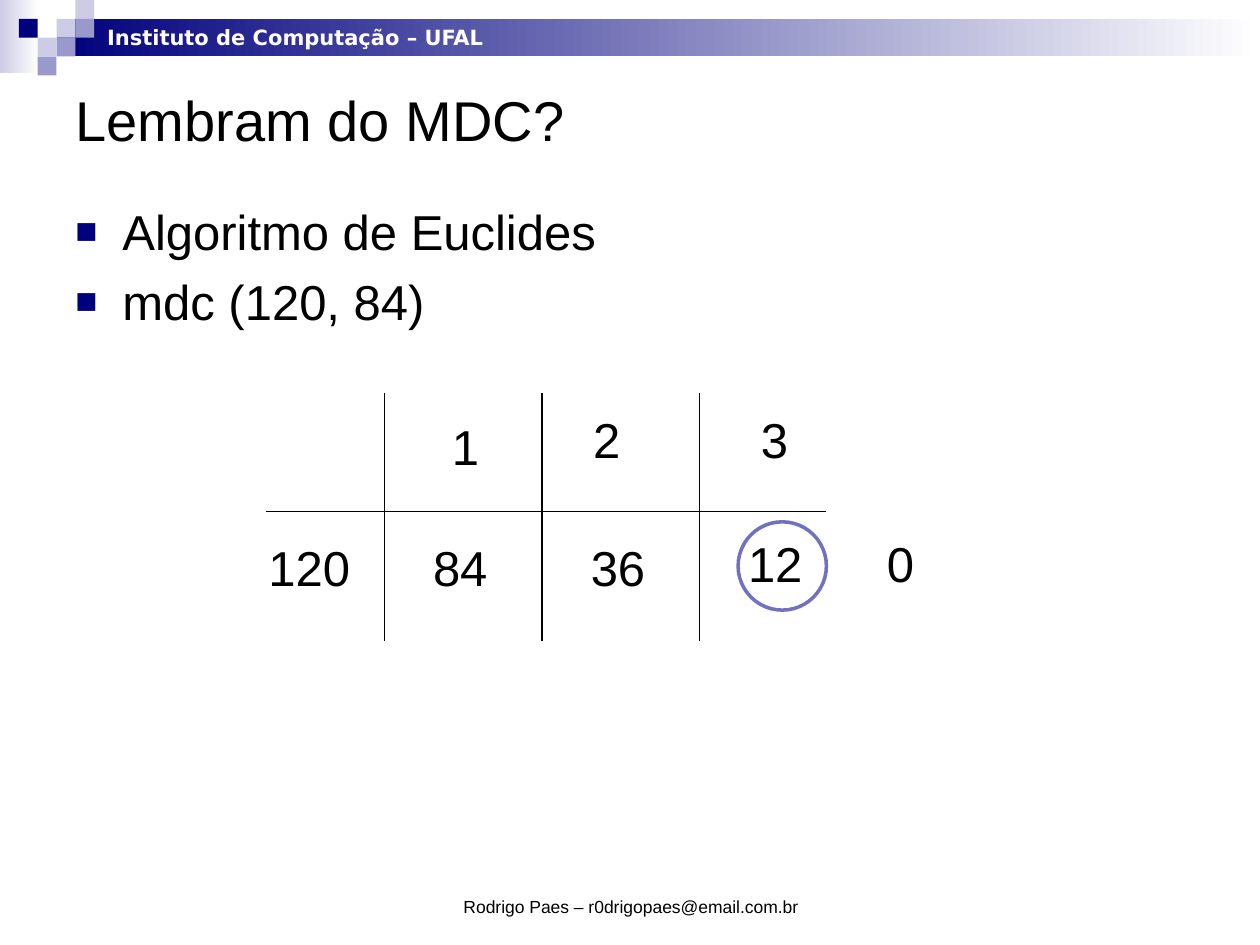
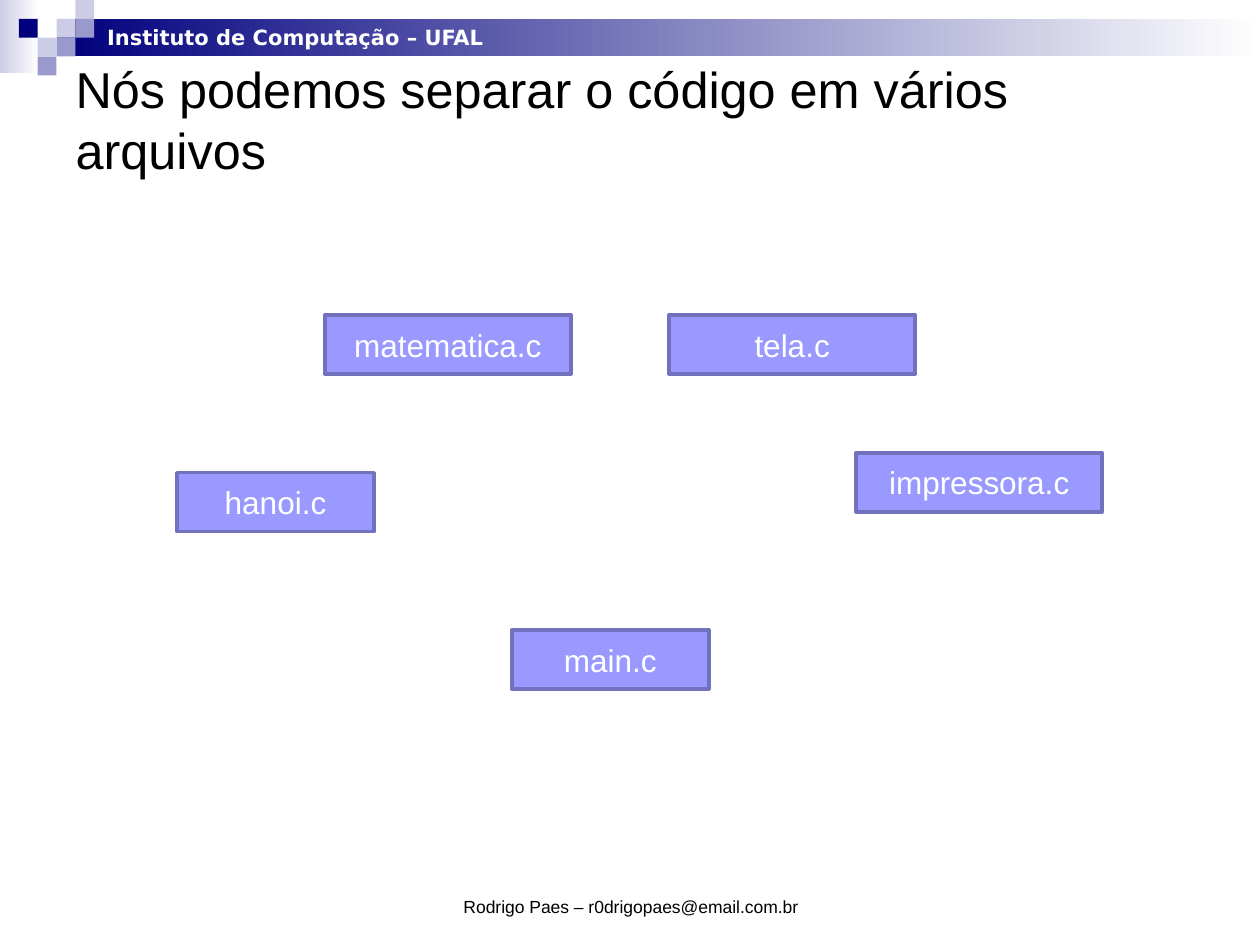
from dataclasses import dataclass

from lxml.etree import SubElement
from pptx import Presentation
from pptx.dml.color import RGBColor
from pptx.enum.shapes import MSO_CONNECTOR, MSO_SHAPE
from pptx.enum.text import MSO_ANCHOR, MSO_AUTO_SIZE, PP_ALIGN
from pptx.oxml.ns import qn
from pptx.util import Cm, Pt


@dataclass(frozen=True)
class Theme:
    # Colours
    navy: str = "00007D"
    pale: str = "CCCCE6"
    lilac: str = "9999CC"
    box_fill: str = "9999FF"
    box_line: str = "7171BD"
    white: str = "FFFFFF"
    black: str = "000000"
    # Fonts and type sizes
    font: str = "Arial"
    band_font: str = "DejaVu Sans"
    title_size: float = 32
    long_title_size: float = 28.8
    body_size: float = 28
    box_size: float = 18
    band_size: float = 12
    footer_size: float = 10


class Composer:
    """Holds the theme and the page being drawn."""

    def __init__(self, deck, theme):
        self.deck = deck
        self.theme = theme
        self.page = None

    def start_page(self, title, title_size):
        self.page = self.deck.slides.add_slide(self.deck.slide_layouts[5])
        self.title(title, title_size)
        self.band()
        self.footer()

    def format_text(self, frame, size, color, align=PP_ALIGN.LEFT, font=None, bold=False):
        for para in frame.paragraphs:
            para.alignment = align
            for span in para.runs:
                span.font.name = font or self.theme.font
                span.font.size = Pt(size)
                span.font.bold = bold
                span.font.color.rgb = RGBColor.from_string(color)

    def title(self, text, size):
        box = self.page.shapes.title
        box.left, box.top, box.width, box.height = Cm(1.27), Cm(1.27), Cm(22.86), Cm(2.26)
        frame = box.text_frame
        frame.text = text
        frame.auto_size = MSO_AUTO_SIZE.NONE
        frame.vertical_anchor = MSO_ANCHOR.MIDDLE
        self.format_text(frame, size, self.theme.black)

    def text(self, text, left, top, width, height, size, color=None,
             wrap=True, anchor=MSO_ANCHOR.TOP, **style):
        box = self.page.shapes.add_textbox(Cm(left), Cm(top), Cm(width), Cm(height))
        frame = box.text_frame
        frame.text = text
        frame.word_wrap = wrap
        frame.vertical_anchor = anchor
        self.format_text(frame, size, color or self.theme.black, **style)
        return frame

    def shape(self, kind, left, top, width, height, fill=None, fade=None, line=None):
        shape = self.page.shapes.add_shape(kind, Cm(left), Cm(top), Cm(width), Cm(height))
        shape.shadow.inherit = False
        if fade:
            shape.fill.gradient()
            shape.fill.gradient_angle = 0
            for stop, color in zip(shape.fill.gradient_stops, fade):
                stop.color.rgb = RGBColor.from_string(color)
        elif fill:
            shape.fill.solid()
            shape.fill.fore_color.rgb = RGBColor.from_string(fill)
        else:
            shape.fill.background()
        if line:
            shape.line.color.rgb = RGBColor.from_string(line)
            shape.line.width = Pt(2)
        else:
            shape.line.fill.background()
        return shape

    def band(self):
        theme = self.theme
        cell = 0.38
        # Fading strips
        self.shape(MSO_SHAPE.RECTANGLE, 0, 0, 0.78, 1.47, fade=(theme.pale, theme.white))
        self.shape(MSO_SHAPE.RECTANGLE, 3 * cell, cell, 25.4 - 3 * cell, 2 * cell,
                   fade=(theme.navy, theme.white))
        # Mosaic: column, row, colour
        for column, row, color in (
            (3, 1, theme.pale), (4, 0, theme.pale), (4, 1, theme.lilac),
            (2, 2, theme.pale), (1, 1, theme.navy), (3, 2, theme.lilac),
            (2, 3, theme.lilac),
        ):
            self.shape(MSO_SHAPE.RECTANGLE, column * cell, row * cell, cell, cell, fill=color)
        self.text("Instituto de Computação – UFAL", 1.91, 0.38, 8.23, 0.77,
                  theme.band_size, theme.white, wrap=False,
                  font=theme.band_font, bold=True)

    def footer(self):
        self.text("Rodrigo Paes – r0drigopaes@email.com.br", 8.69, 17.35, 8.05, 1.27,
                  self.theme.footer_size, anchor=MSO_ANCHOR.BOTTOM, align=PP_ALIGN.CENTER)

    def bullets(self, items):
        frame = self.text("\n".join(items), 1.27, 3.94, 22.86, 13.21, self.theme.body_size)
        for para in frame.paragraphs:
            para.space_before = Pt(6.5)
            properties = para._p.get_or_add_pPr()
            properties.set("marL", str(Cm(0.95)))
            properties.set("indent", str(-Cm(0.95)))
            color = SubElement(properties, qn("a:buClr"))
            SubElement(color, qn("a:srgbClr"), val=self.theme.navy)
            SubElement(properties, qn("a:buSzPct"), val="75000")
            SubElement(properties, qn("a:buFont"), typeface=self.theme.font)
            SubElement(properties, qn("a:buChar"), char="■")

    def line(self, left, top, right, bottom):
        line = self.page.shapes.add_connector(
            MSO_CONNECTOR.STRAIGHT, Cm(left), Cm(top), Cm(right), Cm(bottom))
        line.line.color.rgb = RGBColor.from_string(self.theme.black)
        line.line.width = Pt(0.75)
        SubElement(line._element.spPr, qn("a:effectLst"))

    def number(self, value, left, top):
        width = 0.51 + 0.55 * len(value)
        self.text(value, left, top, width, 1.45, self.theme.body_size, wrap=False)

    def file_box(self, name, left, top, width):
        theme = self.theme
        box = self.shape(MSO_SHAPE.RECTANGLE, left, top, width, 1.19,
                         fill=theme.box_fill, line=theme.box_line)
        box.text_frame.text = name
        box.text_frame.vertical_anchor = MSO_ANCHOR.MIDDLE
        self.format_text(box.text_frame, theme.box_size, theme.white, PP_ALIGN.CENTER)


def euclid_page(composer):
    composer.start_page("Lembram do MDC?", composer.theme.title_size)
    composer.bullets(["Algoritmo de Euclides", "mdc (120, 84)"])
    # Division grid
    composer.line(5.36, 10.31, 16.66, 10.31)
    for column in range(3):
        left = 7.75 + 3.175 * column
        composer.line(left, 7.92, left, 12.92)
    # Quotients above, remainders below
    for value, left, top in (
        ("1", 8.86, 8.28), ("2", 11.71, 8.13), ("3", 15.09, 8.13),
        ("120", 5.16, 10.72), ("84", 8.48, 10.72), ("36", 11.66, 10.72),
        ("12", 14.83, 10.64), ("0", 17.63, 10.64),
    ):
        composer.number(value, left, top)
    # Ring around the answer
    composer.shape(MSO_SHAPE.OVAL, 14.88, 10.52, 1.78, 1.78, line=composer.theme.box_line)


def files_page(composer):
    composer.start_page("Nós podemos separar o código em vários arquivos",
                        composer.theme.long_title_size)
    narrow, wide = 3.97, 4.96
    for name, left, top, width in (
        ("hanoi.c", 3.57, 9.53, narrow),
        ("matematica.c", 6.55, 6.35, wide),
        ("tela.c", 13.49, 6.35, wide),
        ("impressora.c", 17.26, 9.13, wide),
        ("main.c", 10.32, 12.7, narrow),
    ):
        composer.file_box(name, left, top, width)


def main():
    deck = Presentation()
    deck.slide_width, deck.slide_height = Cm(25.4), Cm(19.05)
    composer = Composer(deck, Theme())
    euclid_page(composer)
    files_page(composer)
    deck.save("out.pptx")


if __name__ == "__main__":
    main()
